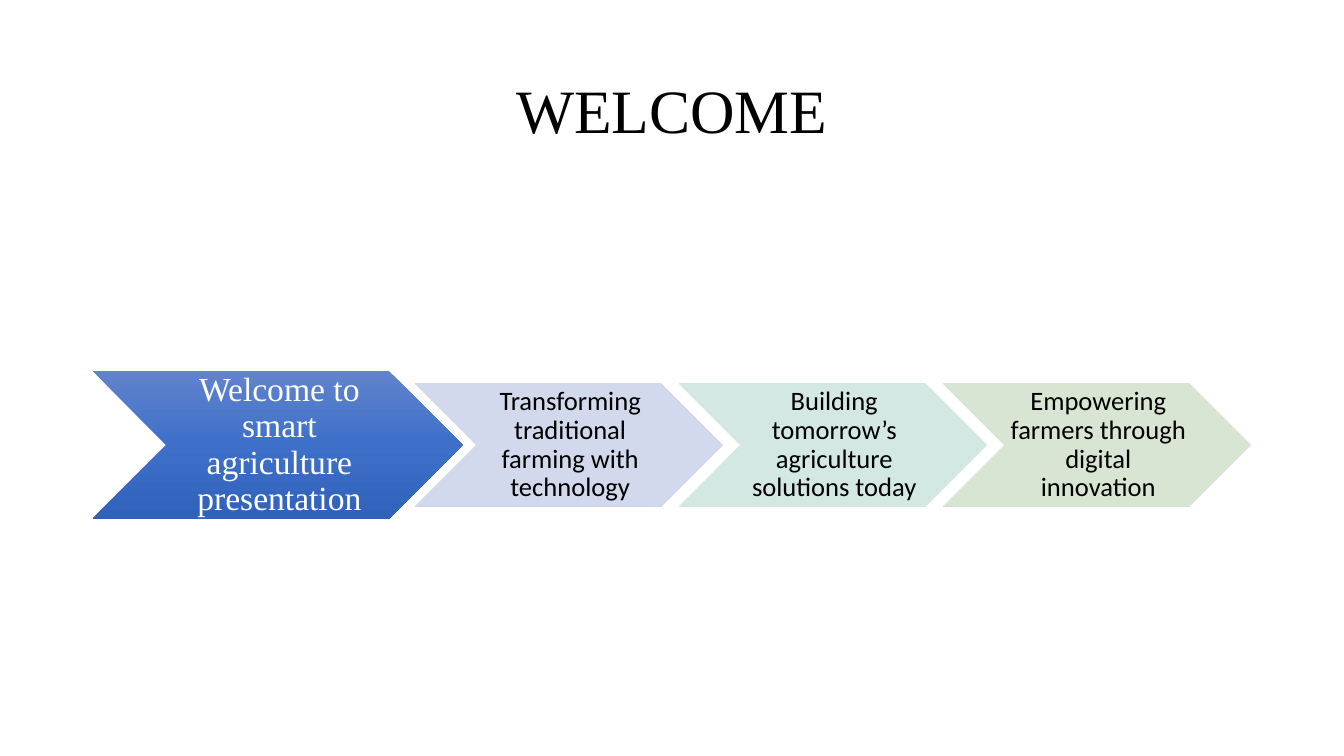
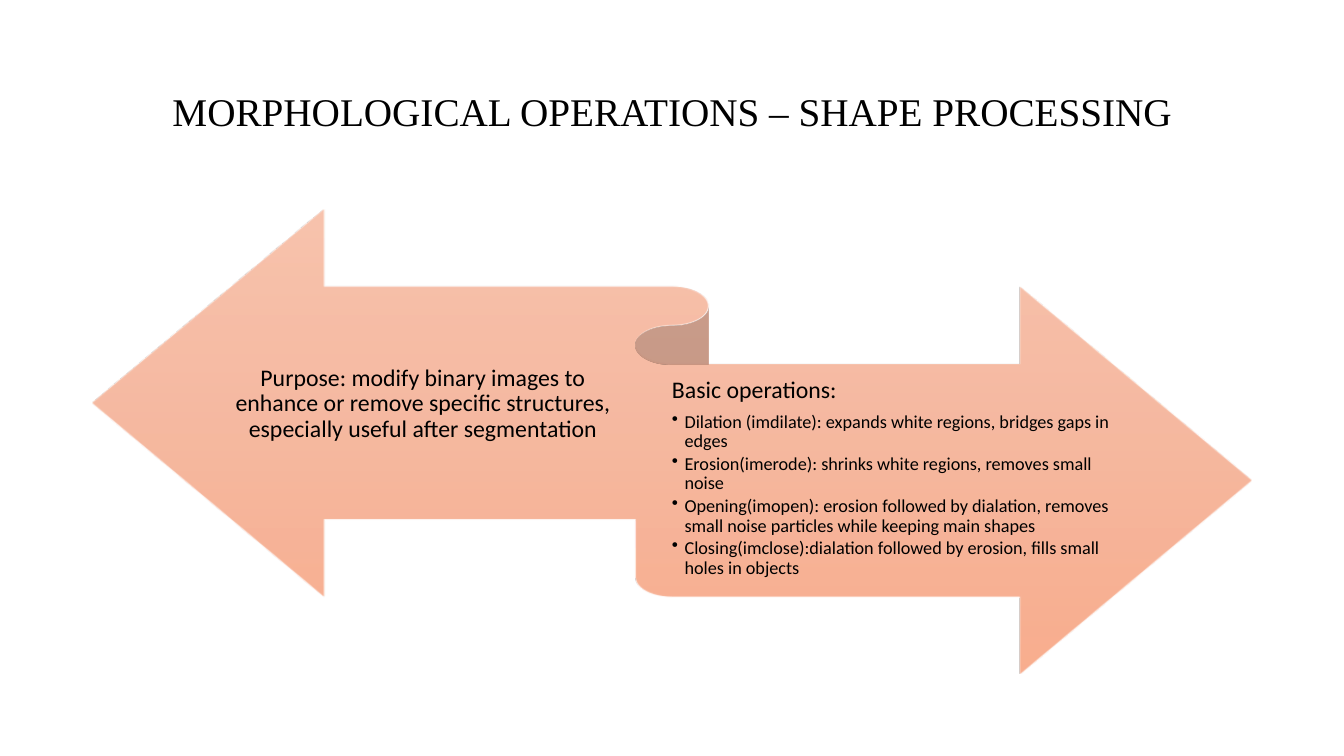
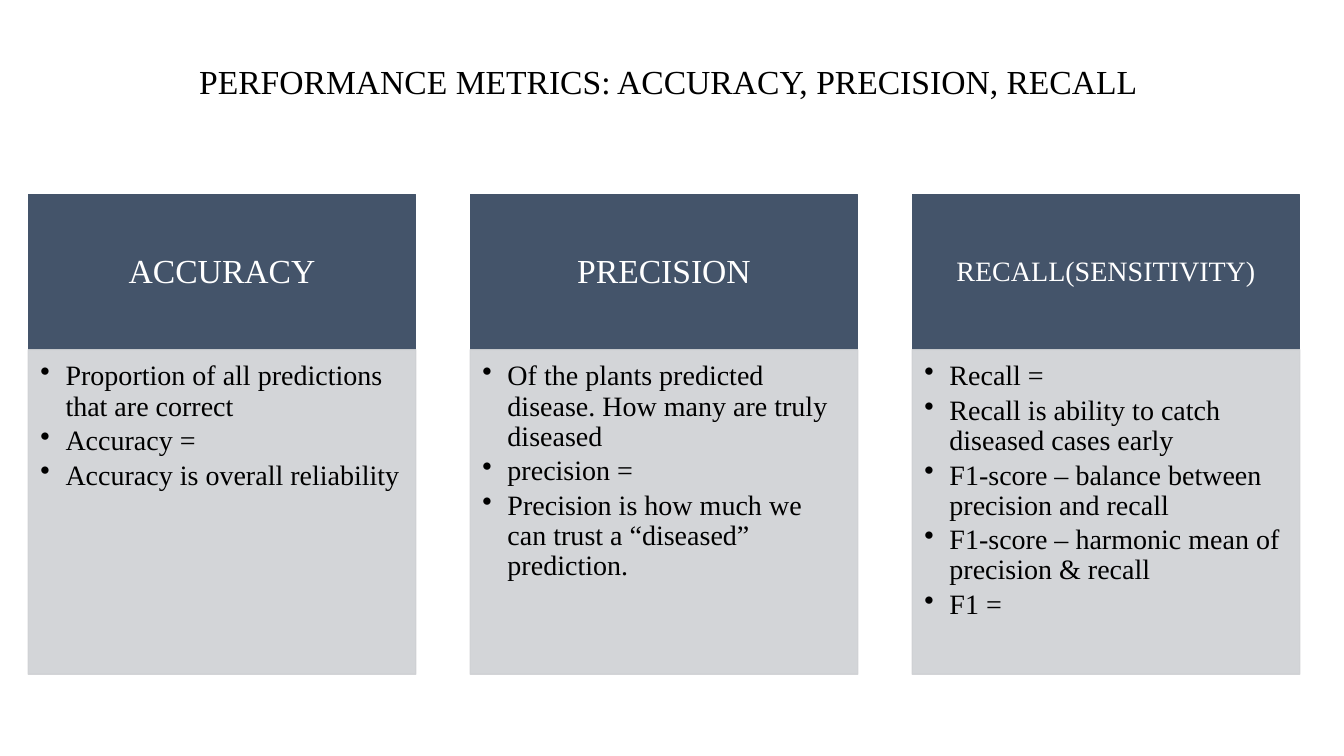
from lxml import etree
from pptx import Presentation
from pptx.dml.color import RGBColor
from pptx.enum.shapes import MSO_SHAPE
from pptx.enum.text import MSO_ANCHOR, MSO_AUTO_SIZE, PP_ALIGN
from pptx.oxml.ns import qn
from pptx.util import Pt

LEFT, CENTER = PP_ALIGN.LEFT, PP_ALIGN.CENTER
TOP, MIDDLE = MSO_ANCHOR.TOP, MSO_ANCHOR.MIDDLE
CHEVRON, RIBBON, RECTANGLE = MSO_SHAPE.CHEVRON, MSO_SHAPE.LEFT_RIGHT_RIBBON, MSO_SHAPE.RECTANGLE
NO_AUTOFIT = MSO_AUTO_SIZE.NONE
SERIF, SANS = "Times New Roman", "Calibri"

COLORS = {
    "black": "000000", "white": "FFFFFF",
    "blue top": "6183CB", "blue middle": "3E70CA", "blue bottom": "3062BB",
    "lavender": "CFD5EA", "mint": "CFE6E0", "sage": "D5E3CF",
    "peach top": "F7BDA5", "peach middle": "F5B196", "peach bottom": "F8A582",
    "slate": "44546A", "gray": "CFD1D4",
}


def write(shape, *texts, size, font=SERIF, color="black", align=CENTER, anchor=MIDDLE,
          margins=(7.2, 3.6, 7.2, 3.6), after=0, indent=0):
    """Append one paragraph per text; an indent makes bulleted paragraphs."""
    frame = shape.text_frame
    frame.word_wrap, frame.auto_size, frame.vertical_anchor = True, NO_AUTOFIT, anchor
    frame.margin_left, frame.margin_top, frame.margin_right, frame.margin_bottom = map(Pt, margins)
    for text in texts:
        paragraph = frame.add_paragraph() if frame.text else frame.paragraphs[0]
        if indent:
            properties = paragraph._p.get_or_add_pPr()
            properties.set("marL", str(Pt(indent)))
            properties.set("indent", str(-Pt(indent)))
            etree.SubElement(properties, qn("a:buChar"), char="•")
        paragraph.alignment, paragraph.line_spacing = align, 0.9
        paragraph.space_after = Pt(after)
        run = paragraph.add_run()
        run.text = text
        run.font.name, run.font.size = font, Pt(size)
        run.font.color.rgb = RGBColor.from_string(COLORS[color])


def add_block(slide, kind, box, *fills, line=0, opacity=100):
    """Add a shape with one solid fill or an evenly spaced vertical gradient."""
    shape = slide.shapes.add_shape(kind, *map(Pt, box))
    shape.shadow.inherit = False
    if len(fills) == 1:
        shape.fill.solid()
        shape.fill.fore_color.rgb = RGBColor.from_string(COLORS[fills[0]])
    else:
        shape.fill.gradient()
        shape.fill.gradient_angle = 270
        stops = shape._element.spPr.find(".//" + qn("a:gsLst"))
        stops.clear()
        for index, fill in enumerate(fills):
            position = str(index * 100000 // (len(fills) - 1))
            stop = etree.SubElement(stops, qn("a:gs"), pos=position)
            etree.SubElement(stop, qn("a:srgbClr"), val=COLORS[fill])
    if line:
        shape.line.color.rgb = RGBColor.from_string(COLORS[fills[0]])
        shape.line.width = Pt(line)
    else:
        shape.line.fill.background()
    if opacity < 100:
        for color in shape._element.spPr.iter(qn("a:srgbClr")):
            etree.SubElement(color, qn("a:alpha"), val=str(opacity * 1000))
    return shape


presentation = Presentation()
presentation.slide_width, presentation.slide_height = Pt(960), Pt(540)

# Slides and their titles
slides = []
for title_text, title_size, title_height in [
    ("WELCOME", 44, 104.4),
    ("MORPHOLOGICAL OPERATIONS – SHAPE PROCESSING", 28, 104.4),
    ("PERFORMANCE METRICS: ACCURACY, PRECISION, RECALL ", 24, 61.2),
]:
    slide = presentation.slides.add_slide(presentation.slide_layouts[5])
    title = slide.shapes.title
    title.left, title.top, title.width, title.height = map(Pt, (66, 28.8, 828, title_height))
    write(title, title_text, size=title_size)
    slides.append(slide)
welcome, morphology, metrics = slides

# Welcome: a large chevron followed by three smaller ones
lead = add_block(welcome, CHEVRON, (66.2, 265, 264.4, 105.8),
                 "blue top", "blue middle", "blue bottom")
write(lead, "Welcome to smart agriculture presentation", size=24, color="white",
      margins=(2.4, 1.2, 0, 1.2))
for index, (fill, text) in enumerate([
    ("lavender", "Transforming traditional farming with technology"),
    ("mint", "Building tomorrow’s agriculture solutions today"),
    ("sage", "Empowering farmers through digital innovation"),
]):
    chevron = add_block(welcome, CHEVRON, (296.6 + 188.6 * index, 274, 219.5, 87.8),
                        fill, line=0.5, opacity=90)
    write(chevron, text, size=19, font=SANS, margins=(1.9, 0.95, 0, 0.95))

# Morphology: ribbon with a text on each arm
add_block(morphology, RIBBON, (66, 150, 828, 331.2),
          "peach top", "peach middle", "peach bottom", opacity=90)
arm_format = {"font": SANS, "margins": (0, 4.8, 0, 4.8)}
purpose = morphology.shapes.add_textbox(Pt(165.6), Pt(207.6), Pt(273), Pt(162))
write(purpose, "Purpose: modify binary images to enhance or remove specific structures, "
      "especially useful after segmentation", size=17, **arm_format)
operations = morphology.shapes.add_textbox(Pt(480), Pt(260.6), Pt(323), Pt(162))
write(operations, "Basic operations:", size=17, align=LEFT, after=6, **arm_format)
write(operations,
      "Dilation (imdilate): expands white regions, bridges gaps in edges",
      "Erosion(imerode): shrinks white regions, removes small noise",
      "Opening(imopen): erosion followed by dialation, removes small noise particles "
      "while keeping main shapes",
      "Closing(imclose):dialation followed by erosion, fills small holes in objects",
      size=13, align=LEFT, after=2, indent=9, **arm_format)

# Metrics: three columns, each a heading above a bulleted list
for index, (heading, heading_size, points) in enumerate([
    ("ACCURACY", 24, [
        "Proportion of all predictions that are correct",
        "Accuracy =",
        "Accuracy is overall reliability",
    ]),
    ("PRECISION", 24, [
        "Of the plants predicted disease. How many are truly diseased",
        "precision =",
        "Precision is how much we can trust a “diseased” prediction.",
    ]),
    ("RECALL(SENSITIVITY)", 20, [
        "Recall =",
        "Recall is ability to catch diseased cases early",
        "F1-score – balance between precision and recall",
        "F1-score – harmonic mean of precision & recall",
        "F1 =",
    ]),
]):
    left = 20.2 + 315.7 * index
    header = add_block(metrics, RECTANGLE, (left, 139, 276.8, 110.8), "slate", line=1)
    write(header, heading, size=heading_size, color="white", margins=(12, 7, 12, 7))
    body = add_block(metrics, RECTANGLE, (left, 249.8, 276.8, 231.8), "gray", line=1, opacity=90)
    write(body, *points, size=20, align=LEFT, anchor=TOP, after=3, indent=18,
          margins=(8.6, 8.6, 11.5, 12.2))

presentation.save("out.pptx")
